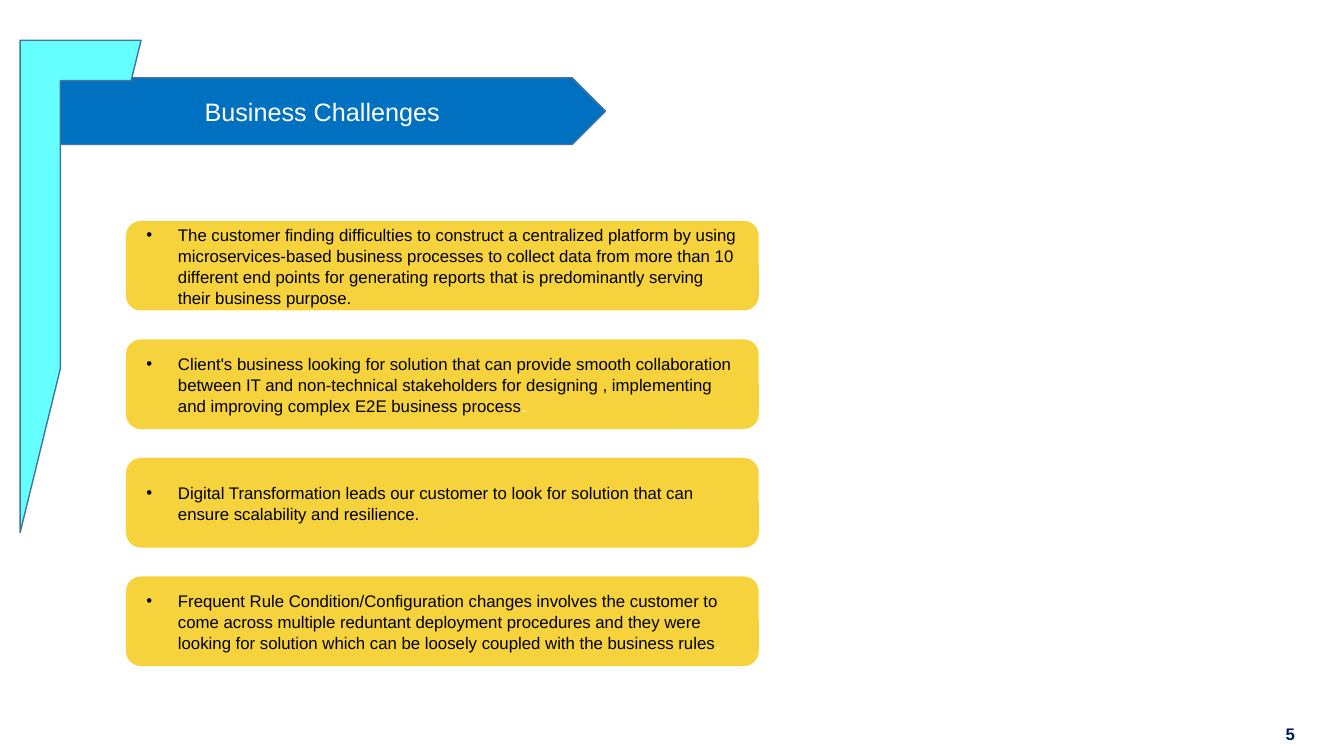
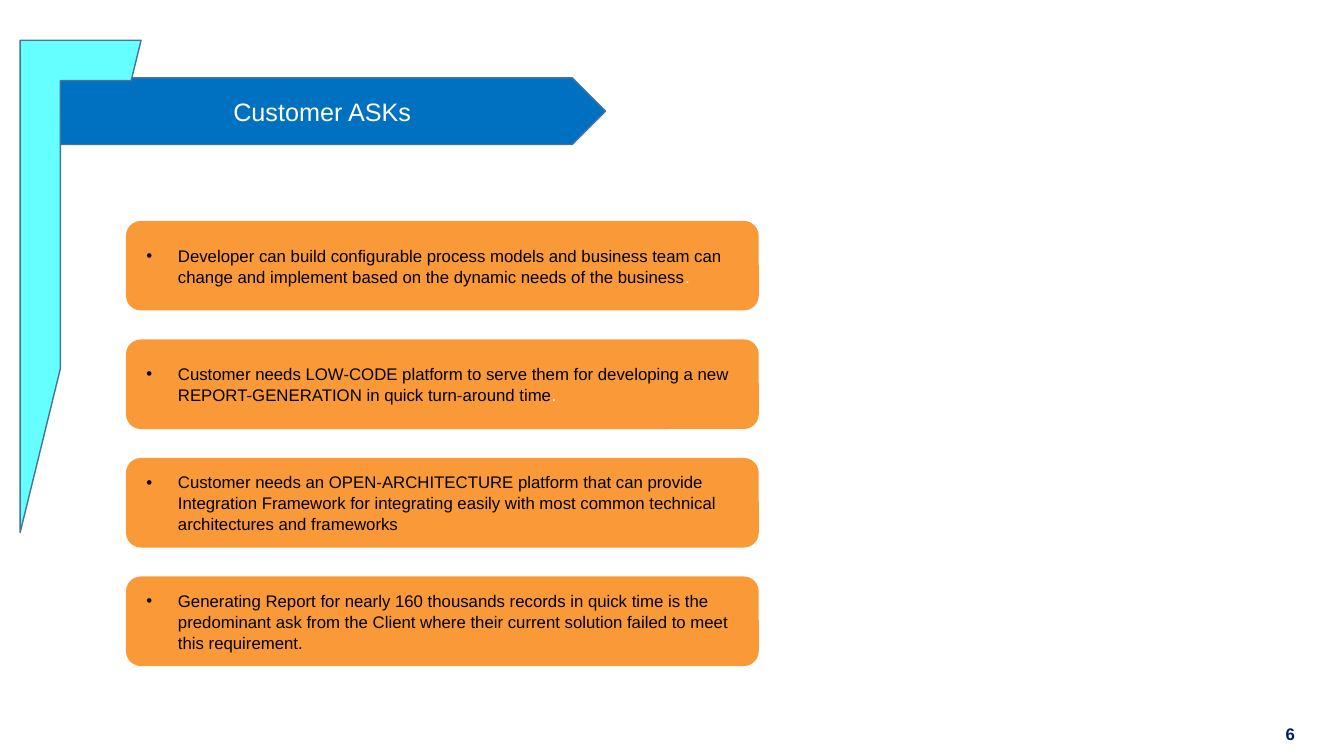
from lxml import etree
from pptx import Presentation
from pptx.dml.color import RGBColor
from pptx.enum import shapes, text
from pptx.oxml import ns
from pptx.util import Pt

FONT = "Arial"
COLORS = {
    "white": "FFFFFF", "black": "000000", "navy": "002060",
    "banner": "0070C0", "frame": "66FFFF", "outline": "43739E",
    "yellow": "F6D33C", "orange": "FA9938",
}
# Regions: left, top, width, height in points
BANNER_BOX = (39.6, 55.6, 393, 47.6)
FRAME_BOX = (14.4, 28.8, 86.4, 351.6)
CARDS_BOX = (90, 157.8, 452, 318)
NUMBER_BOX = (905.8, 514.8, 31.6, 19.4)
CARD_HEIGHT = 64
CARD_INDENT = 22.5

# Each statement is a list of (text, colour) runs
WHITE_STOP = (".", "white")
SLIDES = [
    (5, "Business Challenges", "yellow", [
        [("The customer finding difficulties to construct a centralized platform by using "
          "microservices-based business processes to collect data from more than 10 different "
          "end points for generating reports that is predominantly serving their business "
          "purpose.", "black")],
        [("Client's business looking for solution that can provide smooth collaboration "
          "between IT and non-technical stakeholders for designing , implementing and "
          "improving complex E2E business process", "black"), WHITE_STOP],
        [("Digital Transformation leads our customer to look for solution that can ensure "
          "scalability and resilience.", "black")],
        [("Frequent Rule Condition/Configuration changes involves the customer to come "
          "across multiple reduntant deployment procedures and they were looking for "
          "solution which can be loosely coupled with the business rules", "black"),
         WHITE_STOP],
    ]),
    (6, "Customer ASKs", "orange", [
        [("Developer can build configurable process models and business team can change "
          "and implement based on the dynamic needs of the business", "black"), WHITE_STOP],
        [("Customer needs LOW-CODE platform to serve them for developing a new "
          "REPORT-GENERATION in quick turn-around time", "black"), WHITE_STOP],
        [("Customer needs an OPEN-ARCHITECTURE platform that can provide Integration "
          "Framework for integrating easily with most common technical architectures and "
          "frameworks", "black")],
        [("Generating Report for nearly 160 thousands records in quick time is the "
          "predominant ask from the Client where their current solution failed to meet "
          "this requirement.", "black")],
    ]),
]


def rgb(color):
    return RGBColor.from_string(COLORS[color])


def add_box(slide, kind, box, fill, line=None):
    part = slide.shapes.add_shape(kind, *map(Pt, box))
    part.shadow.inherit = False
    part.fill.solid()
    part.fill.fore_color.rgb = rgb(fill)
    if line:
        part.line.color.rgb = rgb(line)
        part.line.width = Pt(1)
    else:
        part.line.fill.background()
    return part


def write(part, runs, size=12, bold=False, align=text.PP_ALIGN.CENTER, margin=0,
          bullet_indent=0, spacing=1.0):
    frame = part.text_frame
    frame.word_wrap = True
    frame.auto_size = text.MSO_AUTO_SIZE.NONE
    frame.vertical_anchor = text.MSO_ANCHOR.MIDDLE
    frame.margin_left = frame.margin_right = Pt(margin)
    frame.margin_top = frame.margin_bottom = Pt(margin)
    paragraph = frame.paragraphs[0]
    if bullet_indent:
        props = paragraph._p.get_or_add_pPr()
        props.set("marL", str(Pt(bullet_indent)))
        props.set("indent", str(-Pt(bullet_indent)))
        etree.SubElement(props, ns.qn("a:buFont"), typeface=FONT)
        etree.SubElement(props, ns.qn("a:buChar"), char="•")
    paragraph.alignment = align
    paragraph.line_spacing = spacing
    for words, color in runs:
        run = paragraph.add_run()
        run.text = words
        run.font.name = FONT
        run.font.size = Pt(size)
        run.font.bold = bold
        run.font.color.rgb = rgb(color)


def add_banner(slide, box, heading):
    left, top, width, height = box
    banner = add_box(slide, shapes.MSO_SHAPE.PENTAGON, box, "banner", "outline")
    # The banner lies behind the title placeholder
    slide.shapes._spTree.insert(2, banner._element)
    title = slide.shapes.title
    title.left, title.top = Pt(left), Pt(top)
    # The heading is centred clear of half the arrow tip
    title.width, title.height = Pt(width - height / 4), Pt(height)
    write(title, [(heading, "white")], size=18)


def add_cards(slide, box, statements, fill):
    left, top, width, height = box
    pitch = (height - CARD_HEIGHT) / (len(statements) - 1)
    for row, runs in enumerate(statements):
        card = add_box(slide, shapes.MSO_SHAPE.ROUNDED_RECTANGLE,
                       (left, top + row * pitch, width, CARD_HEIGHT), fill)
        write(card, runs, align=text.PP_ALIGN.LEFT, margin=11.5,
              bullet_indent=CARD_INDENT, spacing=1.04)


def add_page_number(slide, box, number):
    label = add_box(slide, shapes.MSO_SHAPE.RECTANGLE, box, "white")
    write(label, [(str(number), "navy")], bold=True)


def add_statement_slide(prs, number, heading, fill, statements):
    slide = prs.slides.add_slide(prs.slide_layouts.get_by_name("Title Only"))
    add_page_number(slide, NUMBER_BOX, number)
    add_cards(slide, CARDS_BOX, statements, fill)
    add_banner(slide, BANNER_BOX, heading)
    add_box(slide, shapes.MSO_SHAPE.HALF_FRAME, FRAME_BOX, "frame", "outline")


def main():
    prs = Presentation()
    prs.slide_width, prs.slide_height = Pt(960), Pt(540)
    for content in SLIDES:
        add_statement_slide(prs, *content)
    prs.save("out.pptx")


if __name__ == "__main__":
    main()
